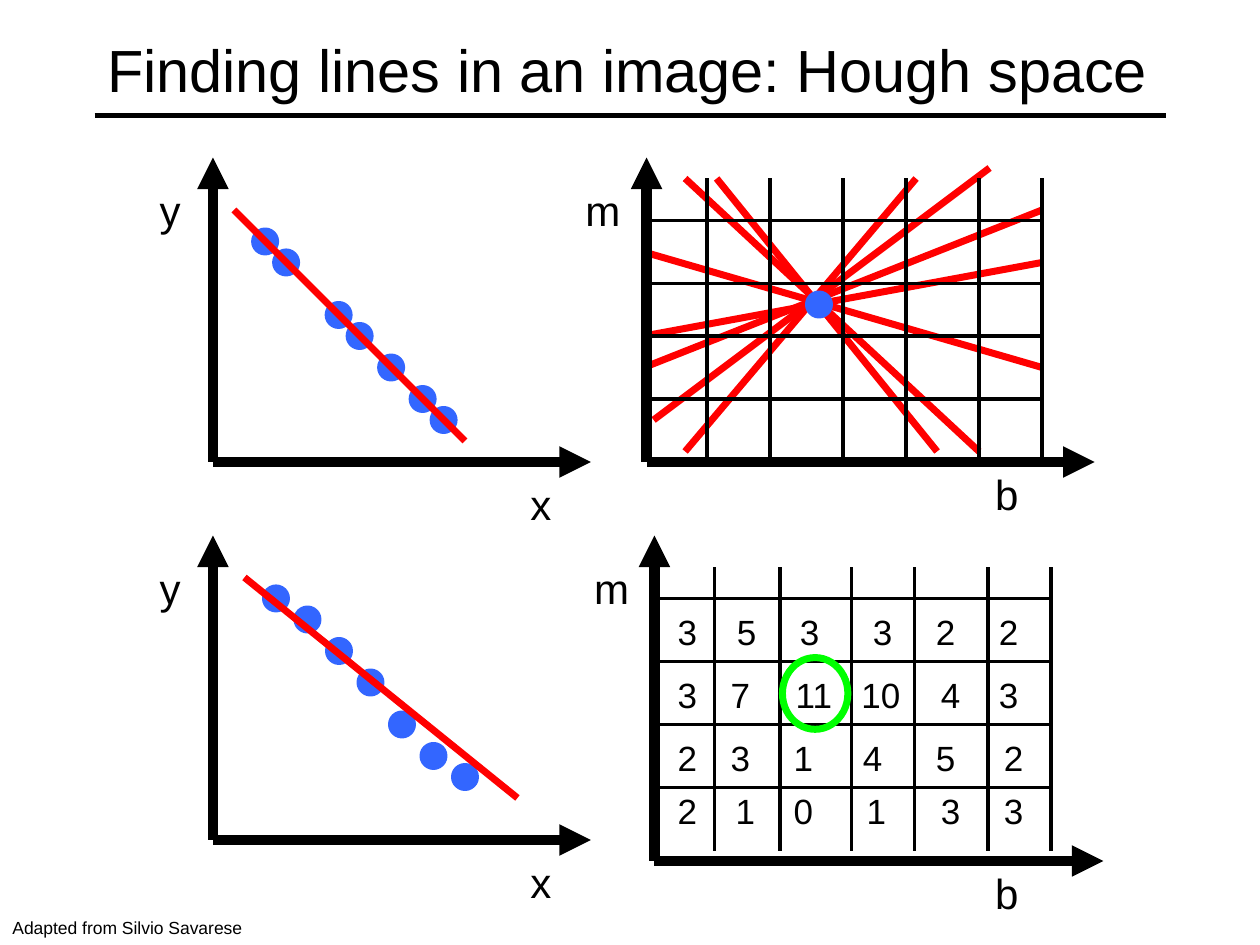
import pptx
import pptx.util
import pptx.dml.color
import pptx.enum.shapes
import pptx.enum.text
import pptx.oxml.ns
import lxml.etree

Pt = pptx.util.Pt
RGBColor = pptx.dml.color.RGBColor
ALIGN = pptx.enum.text.PP_ALIGN
SHAPE = pptx.enum.shapes.MSO_SHAPE
STRAIGHT = pptx.enum.shapes.MSO_CONNECTOR.STRAIGHT

BLACK = RGBColor(0x00, 0x00, 0x00)
RED = RGBColor(0xFF, 0x00, 0x00)
BLUE = RGBColor(0x33, 0x66, 0xFF)
GREEN = RGBColor(0x00, 0xFF, 0x00)

deck = pptx.Presentation()
deck.slide_width, deck.slide_height = Pt(720), Pt(540)
page = deck.slides.add_slide(deck.slide_layouts[5])


def draw_line(x1, y1, x2, y2, color, width, arrow=False):
    line = page.shapes.add_connector(STRAIGHT, Pt(x1), Pt(y1), Pt(x2), Pt(y2))
    line.line.color.rgb = color
    line.line.width = Pt(width)
    qn = pptx.oxml.ns.qn
    if arrow:
        lxml.etree.SubElement(line.line._get_or_add_ln(), qn("a:tailEnd"), type="triangle")
    lxml.etree.SubElement(line._element.spPr, qn("a:effectLst"))


def write(text, center, top, width, size):
    """Add a one-line label centred on the given x position."""
    box = page.shapes.add_textbox(Pt(center - width / 2), Pt(top), Pt(width), Pt(size * 1.5))
    box.text_frame.word_wrap = False
    box.text_frame.auto_size = pptx.enum.text.MSO_AUTO_SIZE.SHAPE_TO_FIT_TEXT
    para = box.text_frame.paragraphs[0]
    para.text = text
    para.alignment = ALIGN.CENTER
    para.font.name, para.font.size = "Arial", Pt(size)
    para.font.color.rgb = BLACK


# Title with its rule
title = page.shapes.title
title.left, title.top, title.width, title.height = Pt(54), Pt(6), Pt(612), Pt(66)
title.text_frame.vertical_anchor = pptx.enum.text.MSO_ANCHOR.MIDDLE
para = title.text_frame.paragraphs[0]
para.text = "Finding lines in an image: Hough space"
para.alignment = ALIGN.LEFT
para.font.name, para.font.size = "Arial", Pt(34)
para.font.color.rgb = BLACK
draw_line(54, 66, 666, 66, BLACK, 3)

# Lines in Hough space, one per image point
hough_lines = [
    (391.5, 258, 523.5, 102), (535.5, 258, 409.5, 102),
    (373.5, 240, 565.5, 96), (559.5, 258, 391.5, 102),
    (368, 192, 595.5, 150), (368, 210, 595.5, 120), (368, 144, 595.5, 210),
]
for ends in hough_lines:
    draw_line(*ends, RED, 4)

# Axes: origin x, origin y, top, right end
for x, y, top, right in [(121.7, 264, 90, 337.7), (369.5, 264, 90, 625.5),
                         (121.7, 480, 306, 337.7), (374, 492, 306, 630.5)]:
    draw_line(x, y, x, top, BLACK, 6, arrow=True)
    draw_line(x, y, right, y, BLACK, 6, arrow=True)

axis_labels = [
    ("x", 308.5, 270, 25), ("y", 97.2, 102, 26),
    ("m", 344.5, 102, 35), ("b", 575.3, 264, 29),
    ("x", 308.5, 486, 25), ("y", 97.2, 318, 26),
    ("m", 349.5, 318, 35), ("b", 575.3, 492, 29),
]
for text, center, top, width in axis_labels:
    write(text, center, top, width, 24)

# Accumulator grids: left, top, bottom, row lines, column lines
grids = [
    (368, 102, 264, [126, 162, 192, 228], [404, 440, 481.7, 517.7, 559.5, 595.5]),
    (373, 324, 486, [342, 378, 414, 450], [408.3, 445.7, 486.7, 522.7, 564.5, 600.5]),
]
for left, top, bottom, rows, columns in grids:
    for y in rows:
        draw_line(left, y, columns[-1], y, BLACK, 2)
    for x in columns:
        draw_line(x, top, x, bottom, BLACK, 2)

# Votes: top of the row, counts, centres of the counts
votes = [
    (345.6, [3, 5, 3, 3, 2, 2], [392.8, 426.6, 462.6, 504.4, 540.4, 576.4]),
    (381.6, [3, 7, 11, 10, 4, 3], [392.8, 423, 465.1, 503.3, 543.2, 576.4]),
    (417.6, [2, 3, 1, 4, 5, 2], [392.8, 423, 459, 498.6, 540.4, 579.2]),
    (447.8, [2, 1, 0, 1, 3, 3], [392.8, 425.9, 459, 500.8, 543.2, 579.2]),
]
for top, counts, centers in votes:
    for count, center in zip(counts, centers):
        text = str(count)
        write(text, center, top, 14.4 + 12 * len(text), 20)

# Image points, the shared point in Hough space, and the ring on the winning cell
exact_points = [(x, x - 13.5) for x in (151.5, 163.5, 193.5, 205.5, 223.5, 241.5, 253.5)]
noisy_points = [(157.7 + 18 * i, y)
                for i, y in enumerate((342, 354, 372, 390, 414, 432, 444))]
ovals = [(x, y, 12, 12, BLUE) for x, y in exact_points + noisy_points + [(468, 174)]]
ovals.append((465.8, 396.3, 37.4, 41, GREEN))
for x, y, width, height, color in ovals:
    oval = page.shapes.add_shape(SHAPE.OVAL, Pt(x - width / 2), Pt(y - height / 2),
                                 Pt(width), Pt(height))
    oval.shadow.inherit = False
    oval.line.color.rgb = color
    oval.line.width = Pt(4)
    if color == GREEN:
        oval.fill.background()
    else:
        oval.fill.solid()
        oval.fill.fore_color.rgb = color

# Fitted lines over the image points
draw_line(133.7, 120, 265.7, 252, RED, 4)
draw_line(139.7, 330, 295.7, 456, RED, 4)

credit = page.shapes.add_textbox(Pt(0), Pt(520.6), Pt(170), Pt(19.4))
credit.text_frame.word_wrap = True
para = credit.text_frame.paragraphs[0]
para.text = "Adapted from Silvio Savarese"
para.font.name, para.font.size = "Arial", Pt(10)
para.font.color.rgb = BLACK

deck.save("out.pptx")
